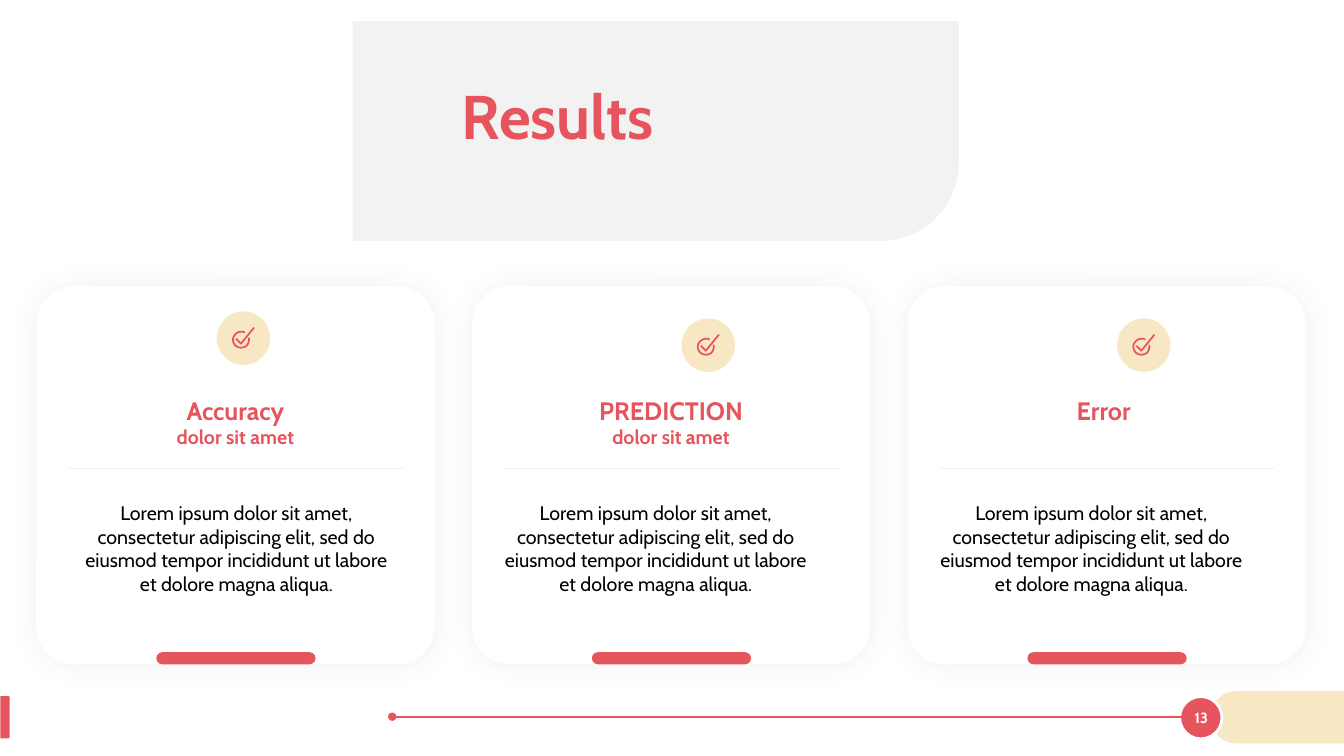
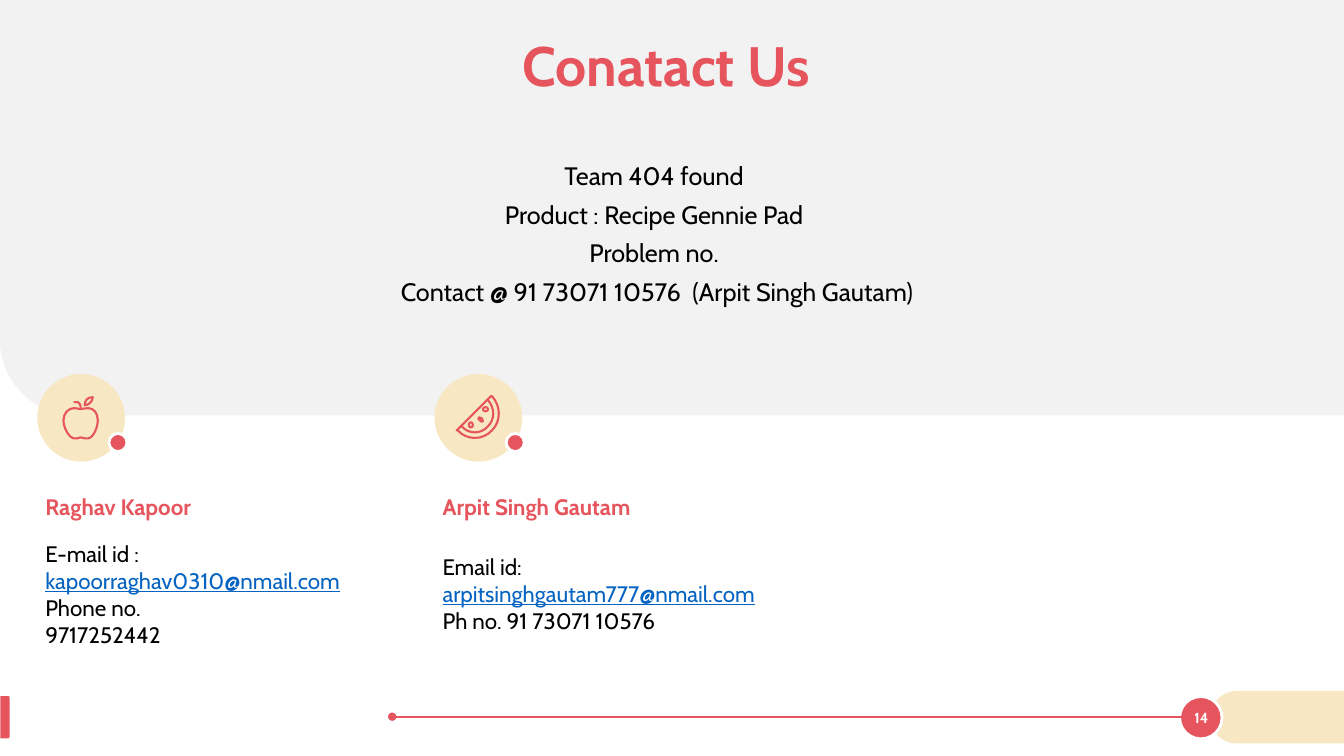
from lxml import etree
from pptx import Presentation
from pptx.dml.color import RGBColor
from pptx.enum.shapes import MSO_CONNECTOR, MSO_SHAPE
from pptx.enum.text import MSO_ANCHOR, PP_ALIGN
from pptx.oxml.ns import qn
from pptx.util import Inches, Pt

OVAL = MSO_SHAPE.OVAL
ROUNDED = MSO_SHAPE.ROUNDED_RECTANGLE
ONE_ROUND = MSO_SHAPE.ROUND_1_RECTANGLE
TWO_ROUND = MSO_SHAPE.ROUND_2_SAME_RECTANGLE
STRAIGHT = MSO_CONNECTOR.STRAIGHT
LEFT, CENTER = PP_ALIGN.LEFT, PP_ALIGN.CENTER
TOP, MIDDLE = MSO_ANCHOR.TOP, MSO_ANCHOR.MIDDLE

FONT = "Cabin"
RED, CREAM, GRAY = "E6555D", "F8E7C3", "F2F2F2"
WHITE, BLACK, LINK = "FFFFFF", "000000", "0563C1"
PADDING = (0.1, 0.05)
FLUSH = (0, 0.05)

# Icon outlines in inches from the badge corner: a start point, then
# segments of one point (straight) or three points (cubic curve)
CHECK = (
    [(0.37, 0.16), [(0.24, 0.32)], [(0.19, 0.27)]],
    [(0.32, 0.26),
     [(0.32, 0.27), (0.32, 0.28), (0.32, 0.28)],
     [(0.32, 0.33), (0.29, 0.36), (0.24, 0.36)],
     [(0.20, 0.36), (0.16, 0.33), (0.16, 0.28)],
     [(0.16, 0.24), (0.20, 0.20), (0.24, 0.20)],
     [(0.26, 0.20), (0.27, 0.20), (0.28, 0.21)]],
)
APPLE = (
    [(0.43, 0.63),
     [(0.46, 0.63), (0.44, 0.64), (0.50, 0.64)],
     [(0.55, 0.64), (0.60, 0.54), (0.60, 0.46)],
     [(0.60, 0.39), (0.56, 0.34), (0.51, 0.34)],
     [(0.45, 0.34), (0.45, 0.35), (0.43, 0.35)],
     [(0.41, 0.35), (0.41, 0.34), (0.36, 0.34)],
     [(0.31, 0.34), (0.26, 0.39), (0.26, 0.46)],
     [(0.26, 0.54), (0.32, 0.64), (0.37, 0.64)],
     [(0.42, 0.64), (0.41, 0.63), (0.43, 0.63)]],
    [(0.43, 0.35), [(0.43, 0.32)],
     [(0.43, 0.30), (0.41, 0.28), (0.40, 0.28)], [(0.36, 0.28)]],
    [(0.47, 0.31),
     [(0.51, 0.31), (0.55, 0.27), (0.55, 0.23)],
     [(0.50, 0.23), (0.47, 0.26), (0.47, 0.31)]],
)
MELON = (
    [(0.53, 0.25), [(0.53, 0.26)],
     [(0.60, 0.34), (0.60, 0.45), (0.53, 0.52)],
     [(0.46, 0.60), (0.34, 0.60), (0.27, 0.52)],
     [(0.26, 0.52)], [(0.22, 0.56)], [(0.23, 0.56)],
     [(0.32, 0.66), (0.48, 0.66), (0.57, 0.56)],
     [(0.66, 0.47), (0.66, 0.32), (0.57, 0.22)],
     [(0.56, 0.22)], [(0.53, 0.25)]],
    [(0.47, 0.44),
     [(0.48, 0.45), (0.48, 0.46), (0.48, 0.47)],
     [(0.47, 0.48), (0.45, 0.47), (0.45, 0.46)],
     [(0.43, 0.45), (0.43, 0.44), (0.44, 0.43)],
     [(0.45, 0.43), (0.46, 0.43), (0.47, 0.44)]],
)
MELON_EDGE = ((0.25, 0.53), (0.53, 0.25))
MELON_SEEDS = ((0.48, 0.33, 0.05, 0.04), (0.34, 0.48, 0.04, 0.05))


def color(value):
    return RGBColor.from_string(value)


class Deck:
    def __init__(self):
        self.presentation = Presentation()
        self.presentation.slide_width = Inches(13.33)
        self.presentation.slide_height = Inches(7.5)
        self.slide = None

    def new_slide(self, number):
        self.slide = self.presentation.slides.add_slide(self.presentation.slide_layouts[6])
        self.footer(number)

    def paint(self, shape, fill, line, width):
        shape.shadow.inherit = False
        if fill:
            shape.fill.solid()
            shape.fill.fore_color.rgb = color(fill)
        else:
            shape.fill.background()
        if line:
            shape.line.color.rgb = color(line)
            shape.line.width = Pt(width)
        else:
            shape.line.fill.background()

    def shape(self, kind, box, fill=None, line=None, width=1.5,
              adjustments=(), rotation=0, flips=()):
        shape = self.slide.shapes.add_shape(kind, *map(Inches, box))
        self.paint(shape, fill, line, width)
        for index, value in enumerate(adjustments):
            shape.adjustments[index] = value
        shape.rotation = rotation
        for flip in flips:
            shape._element.spPr.find(qn("a:xfrm")).set(flip, "1")
        return shape

    def icon(self, outlines, left, top, width):
        for start, *segments in outlines:
            points = [start] + [point for segment in segments for point in segment]
            corners = [(Inches(left + x), Inches(top + y)) for x, y in points]
            builder = self.slide.shapes.build_freeform(*corners[0], scale=1.0)
            builder.add_line_segments(corners[1:], close=points[0] == points[-1])
            shape = builder.convert_to_shape()
            self.paint(shape, None, RED, width)
            # Join the three points of each cubic segment into one curve
            steps = iter(list(shape._element.iter(qn("a:lnTo"))))
            for segment in segments:
                first, *others = [next(steps) for _ in segment]
                if others:
                    curve = etree.Element(qn("a:cubicBezTo"))
                    first.addprevious(curve)
                    for step in (first, *others):
                        curve.append(step[0])
                        step.getparent().remove(step)

    def line(self, start, end, stroke, width, dot=False):
        connector = self.slide.shapes.add_connector(STRAIGHT, *map(Inches, start + end))
        connector.line.color.rgb = color(stroke)
        connector.line.width = Pt(width)
        if dot:
            etree.SubElement(connector.line._get_or_add_ln(), qn("a:headEnd"), type="oval")
        etree.SubElement(connector._element.spPr, qn("a:effectLst"))

    def text(self, box, lines, sizes, ink=BLACK, bold=False, align=LEFT,
             anchor=TOP, insets=PADDING, spacing=None, after=None):
        """Each line is a string, or a tuple with the text of each run."""
        text_box = self.slide.shapes.add_textbox(*map(Inches, box))
        frame = text_box.text_frame
        frame.word_wrap = True
        frame.vertical_anchor = anchor
        frame.margin_left = frame.margin_right = Inches(insets[0])
        frame.margin_top = frame.margin_bottom = Inches(insets[1])
        for index, line in enumerate(lines):
            paragraph = frame.paragraphs[0] if index == 0 else frame.add_paragraph()
            paragraph.alignment = align
            if spacing:
                paragraph.line_spacing = spacing
            if after:
                paragraph.space_after = Pt(after)
            for part in (line,) if isinstance(line, str) else line:
                run = paragraph.add_run()
                run.text = part
                run.font.name = FONT
                run.font.size = Pt(sizes[min(index, len(sizes) - 1)])
                run.font.bold = bold
                run.font.color.rgb = color(ink)
        return text_box

    def title(self, box, words, size, align=LEFT):
        self.text(box, [words], [size], RED, bold=True, align=align,
                  anchor=MIDDLE, spacing=0.9)

    def footer(self, number):
        self.shape(TWO_ROUND, (12.41, 6.45, 0.52, 1.33), CREAM,
                   adjustments=(0.5, 0), rotation=270)
        self.shape(OVAL, (11.7, 6.91, 0.42, 0.42), RED, WHITE, 2)
        self.line((3.89, 7.11), (11.83, 7.11), RED, 1.25, dot=True)
        self.shape(TWO_ROUND, (-0.16, 7.07, 0.42, 0.09), RED, rotation=90)
        self.text((11.72, 6.92, 0.39, 0.4), [str(number)], [10.5], WHITE, bold=True,
                  align=CENTER, anchor=MIDDLE, insets=(0, 0))

    def card(self, left, heading, body, body_offset, badge_offset):
        card = self.shape(ROUNDED, (left, 2.84, 3.95, 3.75), WHITE, adjustments=(0.099,))
        effects = card._element.spPr.find(qn("a:effectLst"))
        shadow = etree.SubElement(effects, qn("a:outerShdw"), blurRad=str(Pt(20)),
                                  dist="0", dir="0", algn="ctr", rotWithShape="0")
        tone = etree.SubElement(shadow, qn("a:srgbClr"), val=BLACK)
        etree.SubElement(tone, qn("a:alpha"), val="5000")
        self.text((left + 0.25, 3.87, 3.45, 0.64), heading, [18, 14], RED,
                  bold=True, align=CENTER, insets=FLUSH)
        self.text((left + body_offset, 4.92, 3.15, 1.18), [body], [14],
                  align=CENTER, insets=FLUSH)
        self.shape(ROUNDED, (left + 1.19, 6.47, 1.58, 0.12), RED, adjustments=(0.5,))
        self.line((left + 0.31, 4.65), (left + 3.65, 4.65), GRAY, 0.5)
        badge_left, badge_top = left + badge_offset[0], 2.84 + badge_offset[1]
        self.shape(OVAL, (badge_left, badge_top, 0.53, 0.53), CREAM)
        self.icon(CHECK, badge_left, badge_top, 1.25)

    def contact(self, left, name, details, details_top, email, icon, edge=(), seeds=()):
        badge_top = 3.71
        self.shape(OVAL, (left, badge_top, 0.87, 0.87), CREAM)
        self.icon(icon, left, badge_top, 1.5)
        if edge:
            start, end = [(left + x, badge_top + y) for x, y in edge]
            self.line(start, end, RED, 1.5)
        for x, y, width, height in seeds:
            self.shape(OVAL, (left + x, badge_top + y, width, height), line=RED)
        self.shape(OVAL, (left + 0.71, 4.3, 0.18, 0.18), RED, WHITE, 2)
        self.text((left + 0.08, 4.78, 3.26, 0.49), [name], [16], RED,
                  bold=True, anchor=MIDDLE, insets=FLUSH)
        box = self.text((left + 0.08, details_top, 3.26, 1.18), details, [16], insets=FLUSH)
        for paragraph in box.text_frame.paragraphs:
            for run in paragraph.runs:
                if run.text == email:
                    run.font.color.rgb = color(LINK)
                    run.font.underline = True


def results(deck):
    deck.new_slide(13)
    deck.shape(ONE_ROUND, (3.5, 0.21, 6.01, 2.18), GRAY,
               adjustments=(0.355,), flips=("flipV",))
    deck.title((4.48, 0.69, 3.83, 0.99), "Results", 44)
    body = ("Lorem ipsum dolor sit amet, consectetur adipiscing elit, sed do "
            "eiusmod tempor incididunt ut labore et dolore magna aliqua.")
    cards = [
        (["Accuracy", "dolor sit amet"], 0.41, (1.79, 0.25)),
        (["PREDICTION", "dolor sit amet"], 0.25, (2.08, 0.32)),
        (["Error "], 0.25, (2.08, 0.32)),
    ]
    for index, (heading, body_offset, badge_offset) in enumerate(cards):
        deck.card(0.36 + 4.32 * index, heading, body, body_offset, badge_offset)


def contacts(deck):
    deck.new_slide(14)
    deck.shape(ONE_ROUND, (0, 0, 13.33, 4.12), GRAY,
               adjustments=(0.181,), flips=("flipH", "flipV"))
    deck.title((0.37, 0.4, 12.6, 0.57), "Conatact Us ", 39.6, CENTER)
    deck.text((3.24, 1.54, 6.55, 1.62),
              ["Team 404 found ", "Product : Recipe Gennie Pad ", "Problem no. ",
               "Contact @ 91 73071 10576  (Arpit Singh Gautam)"],
              [18], align=CENTER, after=6)
    email = "kapoorraghav0310@nmail.com"
    deck.contact(0.37, "Raghav Kapoor",
                 [("E-mail id : ", email), "Phone no.", "9717252442"],
                 5.31, email, APPLE)
    email = "arpitsinghgautam777@nmail.com"
    deck.contact(4.31, "Arpit Singh Gautam",
                 ["Email id:", email, "Ph no. 91 73071 10576"],
                 5.44, email, MELON, MELON_EDGE, MELON_SEEDS)


def main():
    deck = Deck()
    results(deck)
    contacts(deck)
    deck.presentation.save("out.pptx")


if __name__ == "__main__":
    main()
